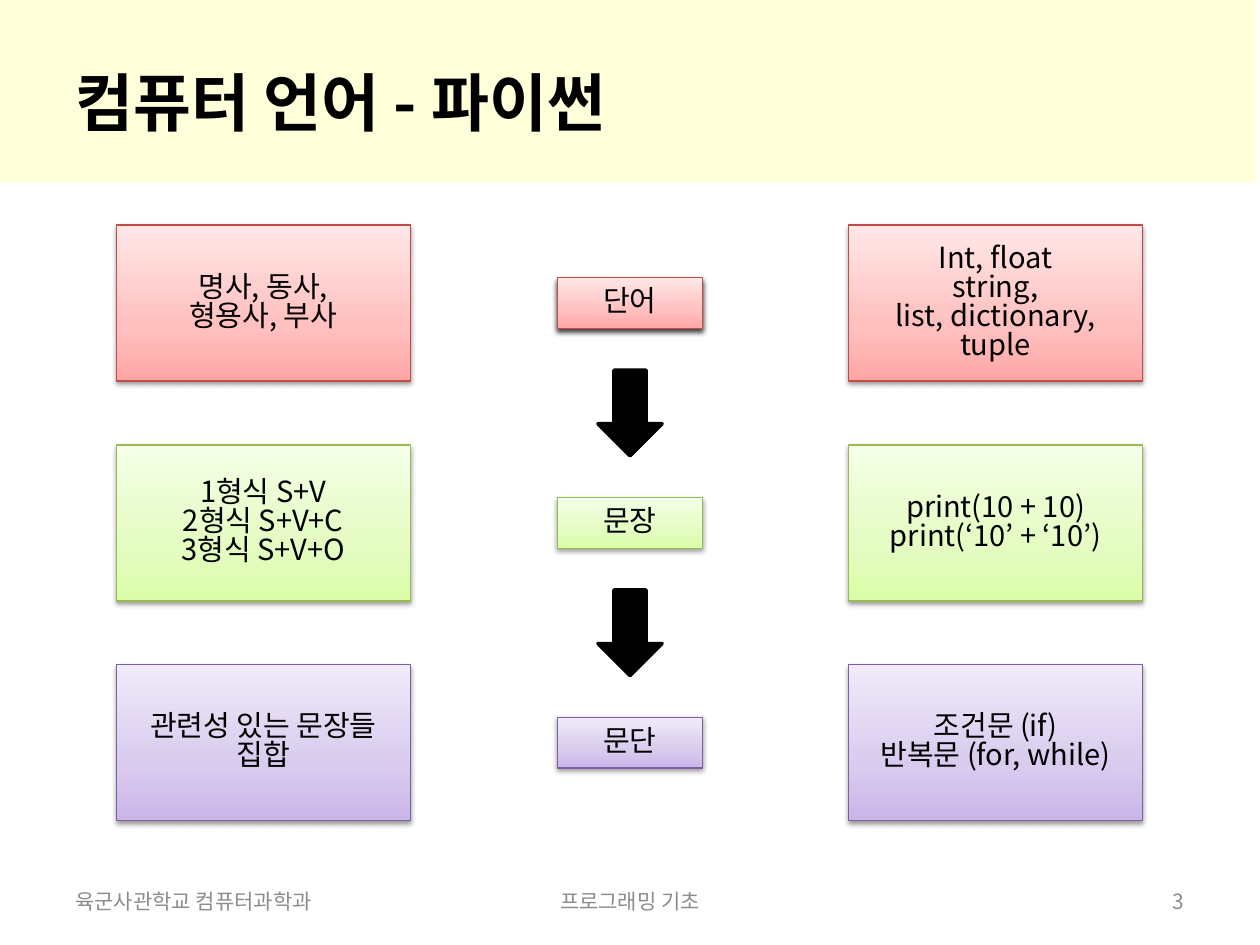
from copy import deepcopy

from lxml import etree
from pptx import Presentation
from pptx.dml.color import RGBColor
from pptx.enum.shapes import MSO_SHAPE
from pptx.enum.text import MSO_ANCHOR, PP_ALIGN
from pptx.oxml.ns import qn
from pptx.util import Pt

RECT, ARROW = MSO_SHAPE.RECTANGLE, MSO_SHAPE.DOWN_ARROW
LEFT, CENTER, RIGHT = PP_ALIGN.LEFT, PP_ALIGN.CENTER, PP_ALIGN.RIGHT
MIDDLE = MSO_ANCHOR.MIDDLE
FONT = "Noto Sans CJK KR"
GRAY = "8C8C8C"

RED = ("BF4C48", ("FFA6A5", "FFC0BF", "FFE7E7"))
GREEN = ("98B955", ("DAFDA7", "E4FCC2", "F5FFE7"))
PURPLE = ("7D60A0", ("C9B5E8", "D8CBEE", "F0EAF9"))
STOPS = (0, 0.35, 1)

ROWS = [
    (RED, ["명사, 동사,", "형용사, 부사"], "단어",
     ["Int, float", "string,", "list, dictionary, tuple"]),
    (GREEN, ["1형식 S+V", "2형식 S+V+C", "3형식 S+V+O"], "문장",
     ["print(10 + 10)", "print(‘10’ + ‘10’)"]),
    (PURPLE, ["관련성 있는 문장들", "집합"], "문단",
     ["조건문 (if)", "반복문 (for, while)"]),
]
FIRST_ROW, ROW_STEP = 173.2, 125.6
LEFT_X, MIDDLE_X, RIGHT_X = 150.4, 360, 568.8
BIG, SMALL = (168, 89.2), (83, 29)


def rgb(color):
    """Turn a hex string into a colour."""
    return RGBColor.from_string(color)


def write(s, lines, size, color="000000", align=CENTER, bold=False, spacing=None):
    """Write one paragraph per line into a shape."""
    tf = s.text_frame
    tf.word_wrap = True
    tf.vertical_anchor = MIDDLE
    for i, line in enumerate(lines):
        p = tf.add_paragraph() if i else tf.paragraphs[0]
        p.text = line
        p.alignment = align
        p.line_spacing = spacing
        p.font.size = Pt(size)
        p.font.bold = bold
        p.font.color.rgb = rgb(color)
        p.font.name = FONT
        latin = p._p.pPr.find(".//" + qn("a:latin"))
        ea = etree.Element(qn("a:ea"), typeface=FONT)
        latin.addnext(ea)


def add_label(slide, x, y, w, h, text, size, **style):
    """Add a line of plain text."""
    s = slide.shapes.add_textbox(Pt(x), Pt(y), Pt(w), Pt(h))
    write(s, [text], size, **style)


def add_shadow(s, alpha, blur, dist):
    """Cast a soft black shadow straight down."""
    effects = s._element.spPr.find(qn("a:effectLst"))
    shadow = etree.SubElement(effects, qn("a:outerShdw"), blurRad=str(Pt(blur)),
                              dist=str(Pt(dist)), dir="5400000", rotWithShape="0")
    black = etree.SubElement(shadow, qn("a:srgbClr"), val="000000")
    etree.SubElement(black, qn("a:alpha"), val=str(alpha * 1000))


def add_box(slide, center, middle, size, palette, lines, shadow=(38, 3.1, 1.6)):
    """Add a gradient box centred on a point."""
    w, h = size
    line, colors = palette
    s = slide.shapes.add_shape(RECT, Pt(center - w / 2), Pt(middle - h / 2), Pt(w), Pt(h))
    s.shadow.inherit = False
    s.fill.gradient()
    s.fill.gradient_angle = 90
    stop_list = s._element.spPr.find(".//" + qn("a:gsLst"))
    stop_list.append(deepcopy(stop_list[0]))
    for stop, position, color in zip(s.fill.gradient_stops, STOPS, colors):
        stop.position = position
        stop.color.rgb = rgb(color)
    s.line.color.rgb = rgb(line)
    s.line.width = Pt(0.75)
    add_shadow(s, *shadow)
    write(s, lines, 16.6, spacing=0.83)


def add_arrow(slide, center, middle):
    """Add a black down arrow centred on a point."""
    w, h = 36.7, 49
    s = slide.shapes.add_shape(ARROW, Pt(center - w / 2), Pt(middle - h / 2), Pt(w), Pt(h))
    s.shadow.inherit = False
    s.fill.solid()
    s.fill.fore_color.rgb = rgb("000000")
    s.line.color.rgb = rgb("000000")
    s.line.width = Pt(2)


def add_band(slide):
    """Add the translucent yellow band behind the title."""
    s = slide.shapes.add_shape(RECT, 0, Pt(-1.4), Pt(718), Pt(105.8))
    s.shadow.inherit = False
    s.fill.solid()
    s.fill.fore_color.rgb = rgb("FFFF00")
    color = s._element.spPr.find(".//" + qn("a:srgbClr"))
    etree.SubElement(color, qn("a:alpha"), val="15000")
    s.line.fill.background()


def main():
    """Build and save the slide."""
    prs = Presentation()
    prs.slide_width, prs.slide_height = Pt(720), Pt(540)
    slide = prs.slides.add_slide(prs.slide_layouts[6])

    add_band(slide)
    add_label(slide, 36, 21.6, 647.5, 72.7, "컴퓨터 언어 - 파이썬", 36, align=LEFT, bold=True)

    for i, (palette, grammar, unit, code) in enumerate(ROWS):
        y = FIRST_ROW + i * ROW_STEP
        shadow = (38, 3.1, 1.6) if i else (75, 3, 2)
        add_box(slide, LEFT_X, y, BIG, palette, grammar)
        add_box(slide, MIDDLE_X, y, SMALL, palette, [unit], shadow)
        add_box(slide, RIGHT_X, y, BIG, palette, code)
        if i:
            add_arrow(slide, MIDDLE_X, y - ROW_STEP / 2)

    for x, w, text, align in [(36, 168, "육군사관학교 컴퓨터과학과", LEFT),
                              (246, 228, "프로그래밍 기초", CENTER),
                              (516, 168, "3", RIGHT)]:
        add_label(slide, x, 500.5, w, 28.8, text, 12, color=GRAY, align=align)

    prs.save("out.pptx")


if __name__ == "__main__":
    main()
